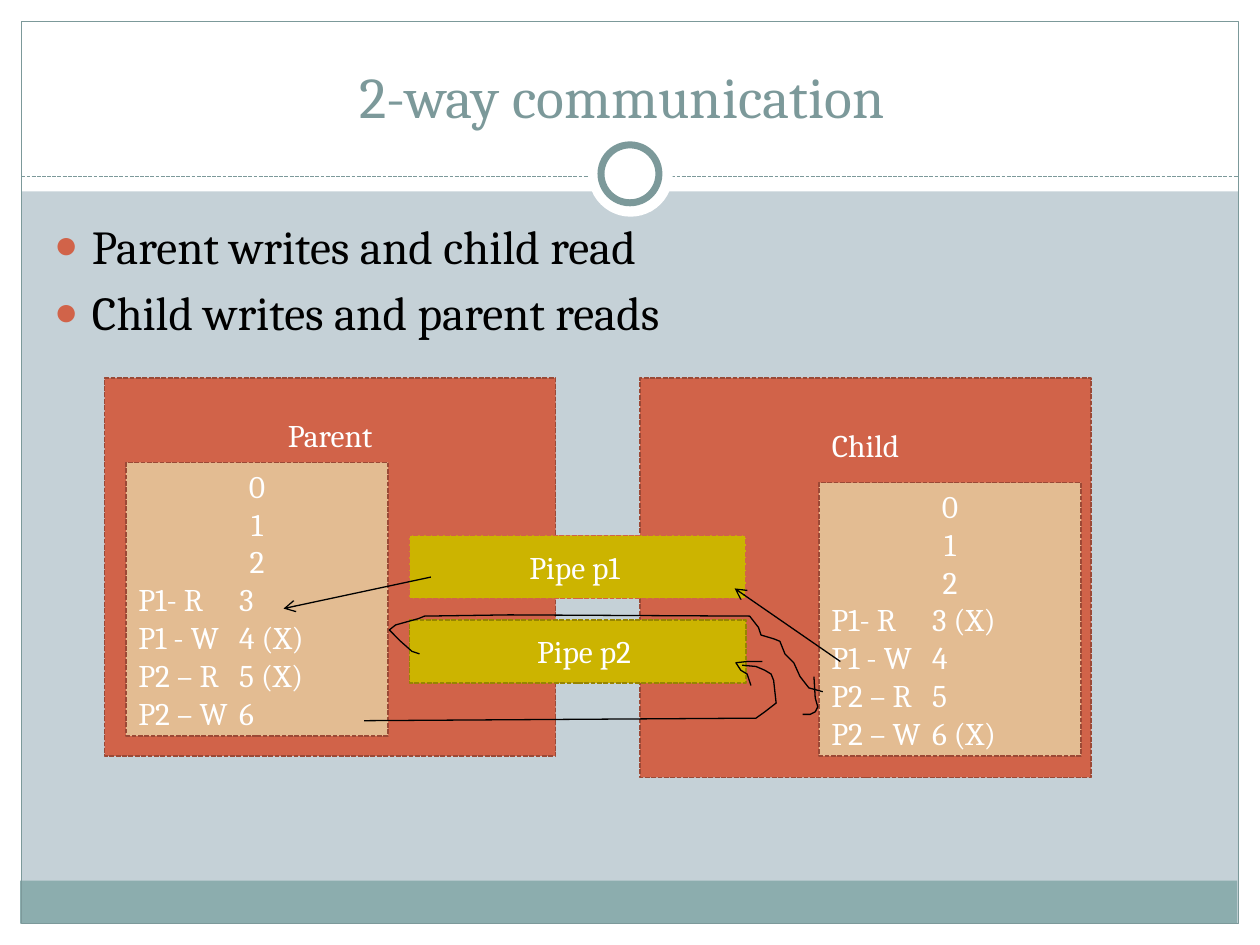
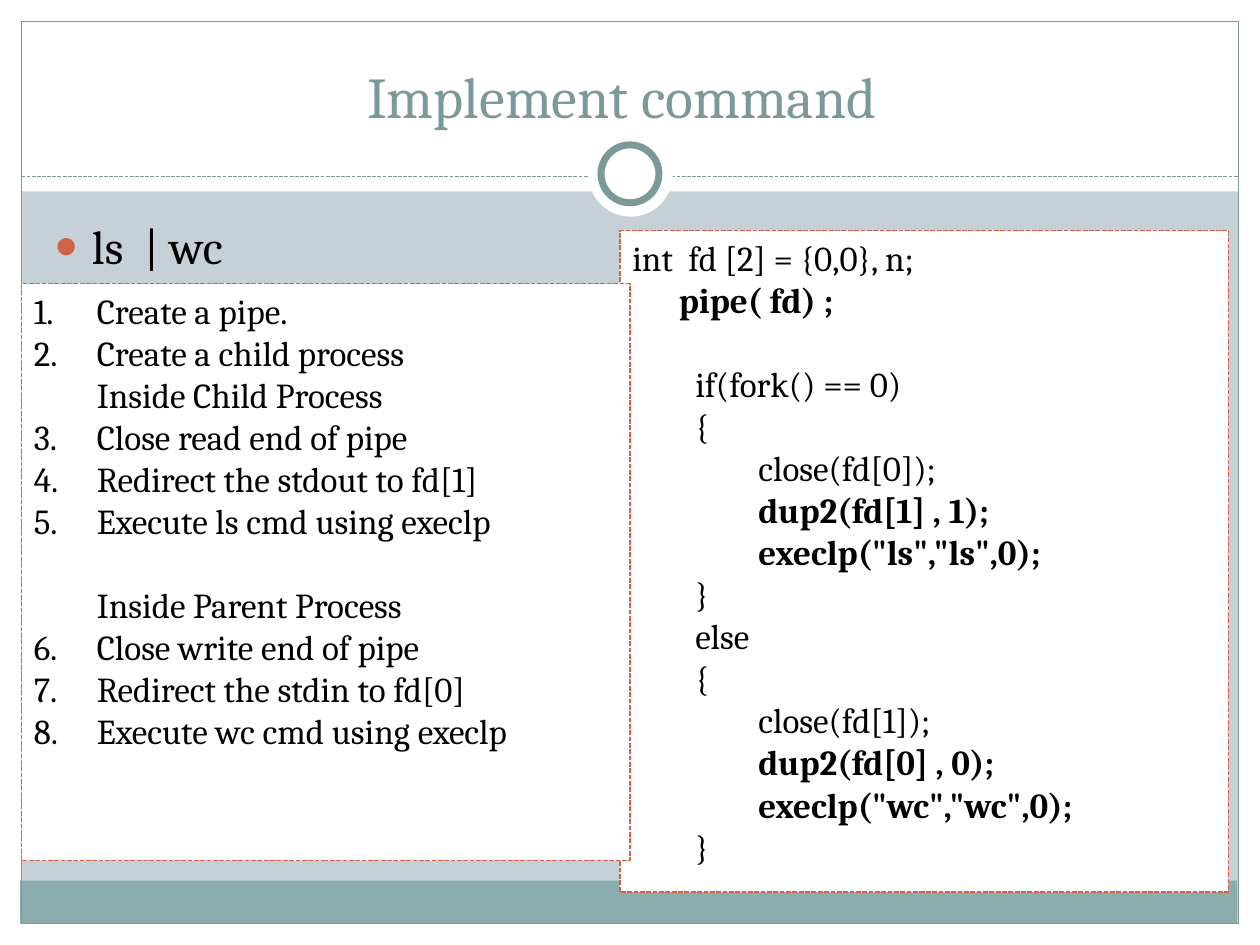
from lxml import etree
from pptx import Presentation, util as u
from pptx.dml import color
from pptx.enum import dml, shapes, text
from pptx.oxml import ns

FONT = "Cambria"
WHITE, BLACK = "FFFFFF", "000000"
BACKDROP, FOOTER, SLATE = "C5D1D7", "8CADAE", "7C999A"
RUST, DARK_RUST, SAND = "D16349", "9B4936", "E3BC92"
OLIVE, DARK_OLIVE = "CCB400", "978500"
LABEL_LINE = 0.3  # height of an 18 pt line, inches
TABLE_SIZE = (2.08, 2.17)
PIPE_SIZE = (2.67, 0.5)
PANEL_WIDTH = 4.83

TITLE_FRAME = {"vertical_anchor": text.MSO_ANCHOR.BOTTOM,
               "auto_size": text.MSO_AUTO_SIZE.NONE, "word_wrap": True}
BODY_FRAME = {**TITLE_FRAME, "vertical_anchor": text.MSO_ANCHOR.TOP}
CENTRED_FRAME = {**TITLE_FRAME, "vertical_anchor": text.MSO_ANCHOR.MIDDLE}
CENTRE, LEFT = text.PP_ALIGN.CENTER, text.PP_ALIGN.LEFT

# Hand-drawn strokes between the descriptor tables and the pipes
PARENT_TO_P2 = [(2.89, 5.72), (6, 5.7), (6.07, 5.65), (6.16, 5.58), (6.14, 5.4),
                (6.12, 5.35), (6.07, 5.32), (6, 5.29), (5.89, 5.28)]
P2_TO_CHILD = [(3.33, 5.19), (3.27, 5.17), (3.18, 5.09), (3.09, 5), (3.14, 4.96),
               (3.32, 4.91), (3.37, 4.89), (4.04, 4.88), (5.95, 4.89), (6.02, 4.98),
               (6.04, 5.04), (6.14, 5.07), (6.19, 5.09), (6.23, 5.19), (6.3, 5.26),
               (6.35, 5.37), (6.42, 5.46), (6.53, 5.49)]
P2_ARROWHEAD = [(6.05, 5.25), (5.93, 5.25), (5.84, 5.26), (5.88, 5.32),
                (5.93, 5.35), (5.96, 5.44)]
CHILD_ARROWHEAD = [(6.46, 5.37), (6.47, 5.54), (6.49, 5.61), (6.47, 5.65),
                   (6.43, 5.67), (6.37, 5.67)]


def rgb(hex_code):
    return color.RGBColor.from_string(hex_code)


def apply(target, values):
    for name, value in values.items():
        setattr(target, name, value)


def place(item, left, top, width, height):
    box = zip(("left", "top", "width", "height"), (left, top, width, height))
    apply(item, {side: u.Inches(length) for side, length in box})


def add_xml(parent, tag, **attributes):
    return etree.SubElement(parent, ns.qn(tag), attributes)


def style_line(line, hex_code, width=0.9, dashed=True):
    line.color.rgb = rgb(hex_code)
    line.width = u.Pt(width)
    if dashed:
        line.dash_style = dml.MSO_LINE.SQUARE_DOT


def add_box(slide, at, fill=None, edge=None, width=0.9, dashed=True,
            kind=shapes.MSO_SHAPE.RECTANGLE):
    box = slide.shapes.add_shape(kind, *map(u.Inches, at))
    box.shadow.inherit = False
    if fill:
        box.fill.solid()
        box.fill.fore_color.rgb = rgb(fill)
    else:
        box.fill.background()
    if edge:
        style_line(box.line, edge, width, dashed)
    else:
        box.line.fill.background()
    return box


def add_line(slide, start, end, hex_code=BLACK, dashed=False, arrow=False):
    points = map(u.Inches, (*start, *end))
    link = slide.shapes.add_connector(shapes.MSO_CONNECTOR.STRAIGHT, *points)
    style_line(link.line, hex_code, 0.75, dashed)
    if arrow:
        add_xml(link.line._get_or_add_ln(), "a:tailEnd", type="arrow")
    add_xml(link._element.spPr, "a:effectLst")


def add_stroke(slide, points):
    (x, y), *rest = [tuple(map(u.Inches, point)) for point in points]
    builder = slide.shapes.build_freeform(x, y)
    builder.add_line_segments(rest, close=False)
    stroke = builder.convert_to_shape()
    stroke.shadow.inherit = False
    stroke.fill.background()
    style_line(stroke.line, BLACK, 0.75, dashed=False)


def write(frame, lines, size, hex_code, align=LEFT):
    """Fill a text frame with one paragraph per line and return them."""
    font = {"name": FONT, "size": u.Pt(size), "bold": False}
    paragraphs = []
    for number, line in enumerate(lines):
        paragraph = frame.add_paragraph() if number else frame.paragraphs[0]
        paragraph.alignment = align
        run = paragraph.add_run()
        run.text = line
        apply(run.font, font)
        run.font.color.rgb = rgb(hex_code)
        paragraphs.append(paragraph)
    return paragraphs


def indent(paragraph, margin, first=0):
    properties = paragraph._p.get_or_add_pPr()
    properties.set("marL", str(u.Inches(margin)))
    properties.set("indent", str(u.Inches(first)))
    return properties


def add_decor(prs, slide, layout):
    """Draw the shared bands on a slide and move them to its layout."""
    known = len(slide.shapes)
    for at in ((0, 7.33, 10, 0.17), (0, 0, 10, 1.52),
               (0, 0, 0.17, 7.5), (9.83, 0, 0.17, 7.5)):
        add_box(slide, at, WHITE)
    add_box(slide, (0.16, 6.99, 9.66, 0.34), FOOTER)
    add_box(slide, (0.17, 0.17, 9.66, 7.16), None, SLATE, 0.75, dashed=False)
    add_line(slide, (0.17, 1.4), (9.83, 1.4), SLATE, dashed=True)
    oval = shapes.MSO_SHAPE.OVAL
    add_box(slide, (4.67, 1.05, 0.67, 0.67), WHITE, kind=oval)
    add_box(slide, (4.77, 1.15, 0.46, 0.46), WHITE, SLATE, 4, dashed=False, kind=oval)
    for order, part in enumerate(list(slide.shapes)[known:]):
        part._element.xpath(".//p:cNvPr")[0].set("id", str(100 + order))
        layout.shapes._spTree.insert(2 + order, part._element)
    layout.background.fill.solid()
    layout.background.fill.fore_color.rgb = rgb(BACKDROP)


def fill_placeholders(slide, heading, bullets):
    title, body = slide.shapes.title, slide.placeholders[1]
    place(title, 0.27, 0.25, 9.33, 0.83)
    apply(title.text_frame, TITLE_FRAME)
    write(title.text_frame, [heading], 33, SLATE, CENTRE)
    place(body, 0.33, 1.67, 9.3, 5)
    apply(body.text_frame, BODY_FRAME)
    for item in write(body.text_frame, bullets, 27, BLACK):
        properties = indent(item, 0.3, -0.3)
        add_xml(add_xml(properties, "a:buClr"), "a:srgbClr", val=RUST)
        add_xml(properties, "a:buSzPct", val="85000")
        add_xml(properties, "a:buChar", char="●")


def add_process(slide, name, left, height):
    process = add_box(slide, (left, 3, 3.58, height), RUST, DARK_RUST)
    apply(process.text_frame, BODY_FRAME)
    process.text_frame.margin_top = u.Inches((height - 8 * LABEL_LINE) / 2)
    write(process.text_frame, [name], 18, WHITE, CENTRE)


def add_pipe(slide, name, top, edge, left_inset):
    pipe = add_box(slide, (3.25, top, *PIPE_SIZE), OLIVE, edge)
    apply(pipe.text_frame, CENTRED_FRAME)
    pipe.text_frame.margin_left = u.Inches(left_inset)
    write(pipe.text_frame, [name], 18, WHITE, CENTRE)


def add_descriptors(slide, left, top, closed):
    """Table of file descriptors 0 to 6; the closed ones carry an (X)."""
    table = add_box(slide, (left, top, *TABLE_SIZE), SAND, DARK_RUST)
    apply(table.text_frame, CENTRED_FRAME)
    ends = ("P1- R", "P1 - W", "P2 – R", "P2 – W")
    rows = [f"{end}\t{number}{' (X)' if number in closed else ''}"
            for number, end in enumerate(ends, 3)]
    paragraphs = write(table.text_frame, ["0", "1", "2", *rows], 18, WHITE)
    for standard in paragraphs[:3]:
        standard.alignment = CENTRE
    for row in paragraphs[3:]:
        stops = add_xml(row._p.get_or_add_pPr(), "a:tabLst")
        add_xml(stops, "a:tab", pos=str(u.Inches(0.8)), algn="l")


def add_panel(slide, left, top, height, lines):
    panel = add_box(slide, (left, top, PANEL_WIDTH, height), WHITE, RUST)
    apply(panel.text_frame, BODY_FRAME)
    return write(panel.text_frame, lines, 20, BLACK)


def add_code(slide):
    code = [  # indent in inches, bold, text
        (0, False, "int  fd [2] = {0,0}, n;"),
        (0.37, True, "pipe( fd) ;"),
        (0.5, False, "if(fork() == 0)"),
        (0.5, False, "{"),
        (1, False, "close(fd[0]);"),
        (1, True, "dup2(fd[1] , 1);"),
        (1, True, 'execlp("ls","ls",0);'),
        (0.5, False, "}"),
        (0.5, False, "else"),
        (0.5, False, "{"),
        (1, False, "close(fd[1]);"),
        (1, True, "dup2(fd[0] , 0);"),
        (1, True, 'execlp("wc","wc",0);'),
        (0.5, False, "}"),
    ]
    lines = add_panel(slide, 4.92, 1.83, 5.25, [row[2] for row in code])
    for line, (margin, bold, _) in zip(lines, code):
        indent(line, margin)
        line.runs[0].font.bold = bold
    lines[2].space_before = u.Pt(24)


def add_steps(slide):
    steps = [  # first number of the group (None for a heading), text
        (1, "Create a pipe."),
        (1, "Create a child process"),
        (None, "Inside Child Process"),
        (3, "Close read end of pipe"),
        (3, "Redirect the stdout to fd[1]"),
        (3, "Execute ls cmd using execlp"),
        (None, "Inside Parent Process"),
        (6, "Close write end of pipe"),
        (6, "Redirect the stdin to fd[0]"),
        (6, "Execute wc cmd using execlp"),
    ]
    lines = add_panel(slide, 0.17, 2.25, 4.58, [step for _, step in steps])
    lines[6].space_before = u.Pt(24)
    for line, (start, _) in zip(lines, steps):
        if start:
            add_xml(indent(line, 0.5, -0.5), "a:buAutoNum",
                    type="arabicPeriod", startAt=str(start))
        else:
            indent(line, 0.5)


def build_communication(slide):
    fill_placeholders(slide, "2-way communication",
                      ["Parent writes and child read", "Child writes and parent reads"])
    add_process(slide, "Parent", 0.83, 3)
    add_process(slide, "Child", 5.08, 3.17)
    add_pipe(slide, "Pipe p1", 4.25, RUST, 0.05)
    add_pipe(slide, "Pipe p2", 4.92, DARK_OLIVE, 0.2)
    add_descriptors(slide, 6.5, 3.83, closed=(3, 6))
    add_descriptors(slide, 1, 3.67, closed=(4, 5))
    add_line(slide, (6.67, 5.25), (5.83, 4.67), arrow=True)
    add_line(slide, (3.42, 4.58), (2.25, 4.83), arrow=True)
    for points in (PARENT_TO_P2, P2_TO_CHILD, P2_ARROWHEAD, CHILD_ARROWHEAD):
        add_stroke(slide, points)


def build_command(slide):
    fill_placeholders(slide, "Implement command", ["ls  | wc"])
    add_code(slide)
    add_steps(slide)


def main():
    prs = Presentation()
    prs.slide_width, prs.slide_height = u.Inches(10), u.Inches(7.5)
    layout = prs.slide_layouts[1]
    communication, command = (prs.slides.add_slide(layout) for _ in range(2))
    add_decor(prs, communication, layout)
    build_communication(communication)
    build_command(command)
    prs.save("out.pptx")


if __name__ == "__main__":
    main()
